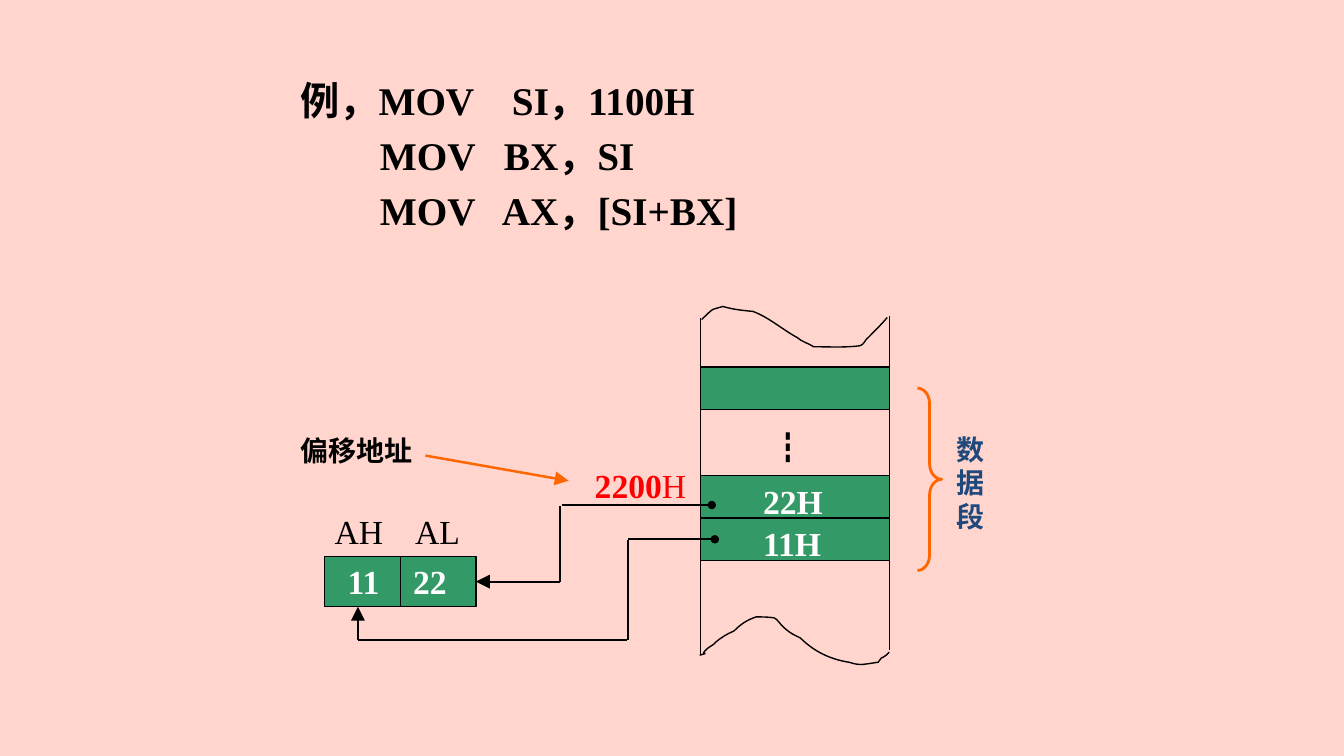
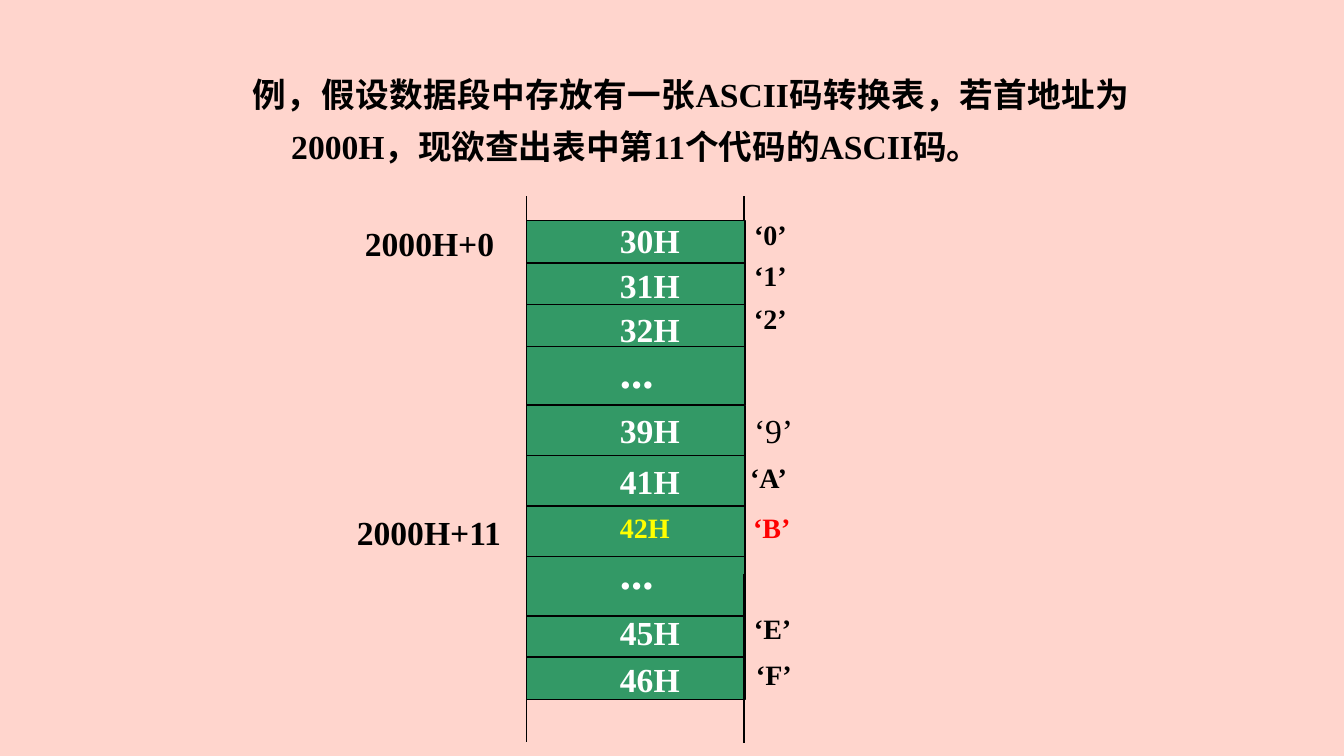
import pptx
import pptx.util
import pptx.dml.color
import pptx.enum.shapes
import pptx.enum.text
import pptx.oxml.ns
from lxml import etree

PX = 9144
THEME = {
    "background": "FFD5CD", "cell": "339966", "ink": "000000", "white": "FFFFFF",
    "red": "FF0000", "orange": "FF6600", "yellow": "FFFF00", "navy": "1F497D",
    "latin": "Times New Roman", "asian": "Noto Sans CJK SC",
    "code": 28, "body": 24, "label": 20, "dots": 32,
    "thin": 1, "wire": 1.5, "pointer": 1.75, "brace": 2,
}
BOX_HEIGHTS = {"body": 50, "label": 44, "dots": 63}
SHAPE = pptx.enum.shapes.MSO_SHAPE
ALIGN = pptx.enum.text.PP_ALIGN

CODE_LINES = [
    ("例，MOV\tSI，1100H", [210]),
    ("\tMOV\tBX，SI", [79, 202]),
    ("\tMOV\tAX，[SI+BX]", [79, 200]),
]
MEMORY = {"left": 695, "width": 187, "row": 42, "tops": [364, 472, 514]}
MEMORY_SIDES = [(695, 315, 695, 650), (882, 314, 882, 645)]
TORN_TOP = [
    (696, 317), (698, 315), (705, 308), (707, 307), (710, 306), (717, 304), (717, 304),
    (727, 307), (737, 308), (747, 309), (763, 315), (776, 327), (791, 335),
    (795, 339), (801, 340), (807, 344), (822, 344), (838, 345), (853, 343),
    (857, 342), (858, 337), (861, 335), (868, 328), (874, 322), (880, 315),
]
TORN_BOTTOM = [
    (694, 650), (707, 646), (692, 652), (701, 644), (704, 641), (708, 640), (710, 637),
    (716, 632), (721, 629), (728, 626), (735, 619), (741, 615), (750, 612),
    (756, 612), (762, 612), (768, 613), (771, 614), (775, 621), (778, 623),
    (785, 629), (786, 629), (794, 633), (807, 646), (823, 654), (842, 657),
    (853, 660), (851, 660), (871, 657), (872, 656), (873, 654), (874, 653),
    (875, 652), (877, 652), (879, 650), (880, 649), (882, 647), (882, 647),
]
REGISTER_NAMES = [("AH\tAL", [80])]
REGISTER_VALUES = [("\t11\t22", [17, 82])]
WIRES = [
    ((622, 635, 355, 635), None),
    ((355, 635, 355, 602), "triangle"),
    ((555, 502, 555, 577), None),
    ((555, 577, 472, 577), "triangle"),
    ((557, 501, 706, 501), "oval"),
    ((623, 535, 709, 535), "oval"),
    ((623, 536, 623, 635), None),
]

QUESTION = "例，假设数据段中存放有一张ASCII码转换表，若首地址为2000H，现欲查出表中第11个代码的ASCII码。"
TABLE = {"left": 522, "right": 738, "width": 217}
TABLE_BLOCKS = [
    (219, 183, [302, 261, 344]),
    (402, 292, [502, 452, 552, 694, 652, 611]),
]
RAILS = [("left", 602, 736), ("right", 569, 737), ("left", 219, 194), ("right", 219, 194)]
CODES = [
    ("30H", 213, 88), ("31H", 258, 183), ("32H", 302, 183), ("...", 336, 183),
    ("39H", 402, 183), ("41H", 452, 183), ("42H", 502, 183), ("...", 536, 183),
    ("45H", 602, 183), ("46H", 649, 200),
]
SYMBOLS = [
    ("‘0’", 738, 211, 91), ("‘1’", 738, 252, 95), ("‘2’", 738, 294, 83),
    ("‘9’", 738, 402, 99), ("‘A’", 734, 452, 78), ("‘B’", 737, 502, 75),
    ("‘E’", 738, 602, 67), ("‘F’", 740, 647, 110),
]
CODE_STYLES = {"...": {"size": "dots"}, "42H": {"size": "label", "ink": "yellow"}}
SYMBOL_STYLES = {"‘9’": {"size": "body", "bold": False}, "‘B’": {"ink": "red"}}
ADDRESSES = [("2000H+0", 352, 216, 162), ("2000H+11", 344, 503, 178)]


def color(name):
    return pptx.dml.color.RGBColor.from_string(THEME[name])


def add_text(page, text, left, top, width, height=None, size="body", ink="ink", bold=True,
             latin="latin", align=ALIGN.LEFT, leading=None, before=0, hanging=0):
    height = height or BOX_HEIGHTS[size]
    box = page.shapes.add_textbox(left * PX, top * PX, width * PX, height * PX)
    frame = box.text_frame
    frame.word_wrap = True
    lines = [(text, [])] if isinstance(text, str) else text
    for index, (content, stops) in enumerate(lines):
        para = frame.paragraphs[0] if index == 0 else frame.add_paragraph()
        properties = para._p.get_or_add_pPr()
        if hanging:
            properties.set("marL", str(hanging * PX))
            properties.set("indent", str(-hanging * PX))
        if stops:
            tabs = etree.SubElement(properties, pptx.oxml.ns.qn("a:tabLst"))
            for stop in stops:
                etree.SubElement(tabs, pptx.oxml.ns.qn("a:tab"), pos=str(stop * PX), algn="l")
        para.alignment = align
        if leading:
            para.line_spacing = pptx.util.Pt(leading)
        if index and before:
            para.space_before = pptx.util.Pt(before)
        span = para.add_run()
        span.text = content
        style_span(span, size, ink, bold, latin)
    return box


def style_span(span, size, ink, bold, latin="latin"):
    span.font.size = pptx.util.Pt(THEME[size])
    span.font.bold = bold
    span.font.color.rgb = color(ink)
    span.font.name = THEME[latin]
    etree.SubElement(span._r.get_or_add_rPr(), pptx.oxml.ns.qn("a:ea"), typeface=THEME["asian"])


def finish_shape(shape, fill=None, ink="ink", weight="thin"):
    shape.shadow.inherit = False
    if fill:
        shape.fill.solid()
        shape.fill.fore_color.rgb = color(fill)
    else:
        shape.fill.background()
    shape.line.color.rgb = color(ink)
    shape.line.width = pptx.util.Pt(THEME[weight])


def add_shape(page, kind, left, top, width, height, **style):
    shape = page.shapes.add_shape(kind, left * PX, top * PX, width * PX, height * PX)
    finish_shape(shape, **style)
    return shape


def add_line(page, ends, ink="ink", weight="thin", head=None):
    line = page.shapes.add_connector(
        pptx.enum.shapes.MSO_CONNECTOR.STRAIGHT, *[value * PX for value in ends])
    line.line.color.rgb = color(ink)
    line.line.width = pptx.util.Pt(THEME[weight])
    if head:
        reach = "lg" if head == "triangle" else "med"
        etree.SubElement(line.line._get_or_add_ln(), pptx.oxml.ns.qn("a:tailEnd"),
                         type=head, w=reach, len=reach)
    etree.SubElement(line._element.spPr, pptx.oxml.ns.qn("a:effectLst"))


def add_curve(page, controls):
    builder = page.shapes.build_freeform(*controls[0], scale=float(PX))
    builder.add_line_segments(controls[1:], close=False)
    curve = builder.convert_to_shape()
    segments = list(curve._element.iter(pptx.oxml.ns.qn("a:lnTo")))
    for start in range(0, len(segments), 3):
        group = segments[start:start + 3]
        bend = etree.Element(pptx.oxml.ns.qn("a:cubicBezTo"))
        group[0].addprevious(bend)
        for segment in group:
            bend.append(segment[0])
            segment.getparent().remove(segment)
    finish_shape(curve)


def add_page(deck):
    page = deck.slides.add_slide(deck.slide_layouts[6])
    page.background.fill.solid()
    page.background.fill.fore_color.rgb = color("background")
    return page


def build_addressing(deck):
    page = add_page(deck)
    add_text(page, CODE_LINES, 288, 70, 504, 179, size="code", leading=34, before=5.3)
    for top in MEMORY["tops"]:
        add_shape(page, SHAPE.RECTANGLE, MEMORY["left"], top, MEMORY["width"],
                  MEMORY["row"], fill="cell")
    for ends in MEMORY_SIDES:
        add_line(page, ends)
    for controls in (TORN_TOP, TORN_BOTTOM):
        add_curve(page, controls)
    for value, top in zip(("22H", "11H"), MEMORY["tops"][1:]):
        add_text(page, value, 747, top, 92, ink="white")

    address = add_text(page, "2200", 580, 456, 139, ink="red")
    suffix = address.text_frame.paragraphs[0].add_run()
    suffix.text = "H"
    style_span(suffix, "body", "red", False)
    add_text(page, "偏移地址", 288, 425, 151, 41, size="label", leading=24)
    add_line(page, (422, 452, 564, 477), ink="orange", weight="pointer", head="triangle")

    add_shape(page, SHAPE.RECTANGLE, 322, 552, 150, 50, fill="cell")
    add_line(page, (397, 552, 397, 602))
    add_text(page, REGISTER_NAMES, 322, 502, 167, bold=False)
    add_text(page, "┇", 755, 419, 67, bold=False, latin="asian")
    add_text(page, REGISTER_VALUES, 318, 552, 167, ink="white")
    for ends, head in WIRES:
        add_line(page, ends, weight="wire", head=head)

    add_text(page, "数据段", 939, 424, 50, 102, size="label", ink="navy", leading=24)
    brace = add_shape(page, SHAPE.RIGHT_BRACE, 910, 385, 24, 181, ink="orange", weight="brace")
    brace.adjustments[0] = 0.64
    brace.adjustments[1] = 0.5


def build_lookup(deck):
    page = add_page(deck)
    add_text(page, QUESTION, 241, 57, 889, 101, align=ALIGN.JUSTIFY, leading=37, hanging=38)
    for top, height, dividers in TABLE_BLOCKS:
        add_shape(page, SHAPE.RECTANGLE, TABLE["left"], top, TABLE["width"], height, fill="cell")
        for y in dividers:
            add_line(page, (TABLE["left"], y, TABLE["right"], y))
    for side, start, end in RAILS:
        add_line(page, (TABLE[side], start, TABLE[side], end))
    for code, top, width in CODES:
        add_text(page, code, 605, top, width, **{"ink": "white", **CODE_STYLES.get(code, {})})
    for address, left, top, width in ADDRESSES:
        add_text(page, address, left, top, width)
    for symbol, left, top, width in SYMBOLS:
        add_text(page, symbol, left, top, width,
                 **{"size": "label", **SYMBOL_STYLES.get(symbol, {})})


def main():
    deck = pptx.Presentation()
    deck.slide_width = 1333 * PX
    deck.slide_height = 750 * PX
    build_addressing(deck)
    build_lookup(deck)
    deck.save("out.pptx")


if __name__ == "__main__":
    main()
